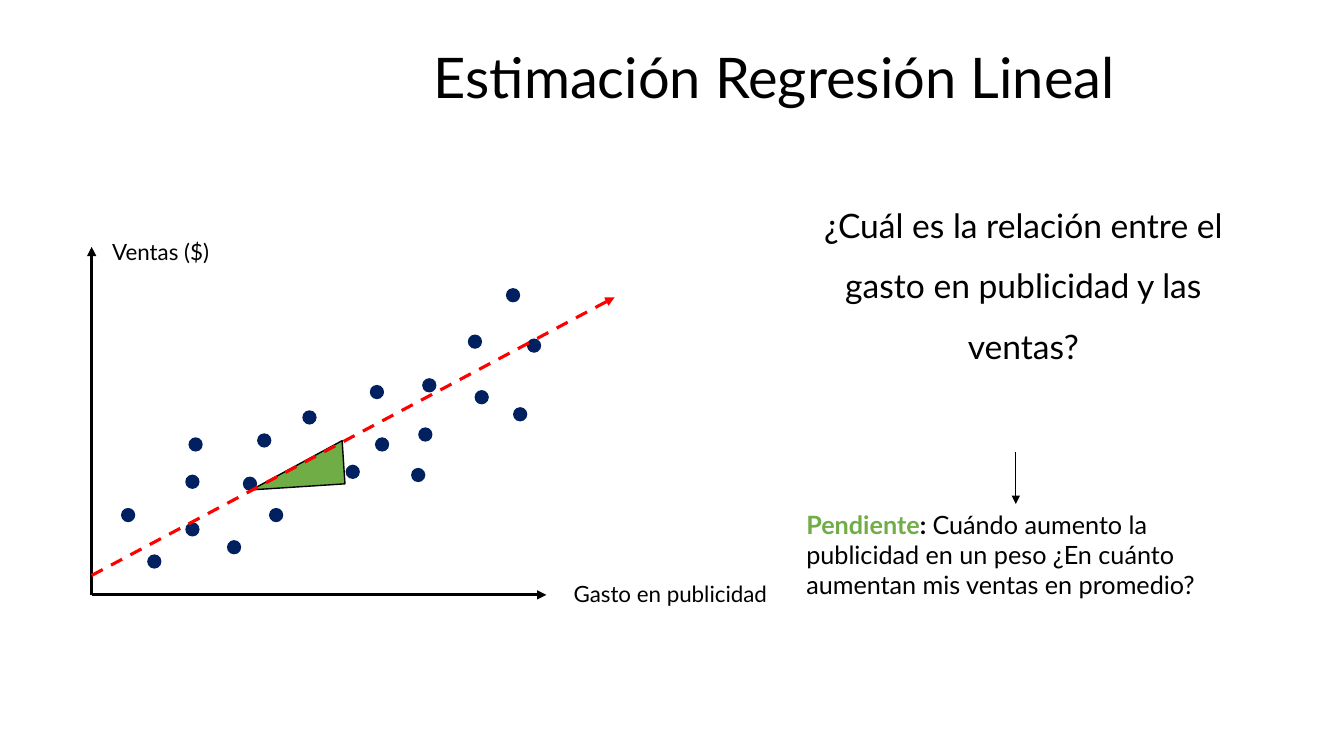
from lxml import etree
from pptx import Presentation
from pptx.dml.color import RGBColor
from pptx.enum.dml import MSO_LINE
from pptx.enum.shapes import MSO_CONNECTOR, MSO_SHAPE
from pptx.enum.text import MSO_AUTO_SIZE, PP_ALIGN
from pptx.oxml.ns import qn
from pptx.util import Cm, Pt

BLACK = RGBColor(0, 0, 0)
NAVY = RGBColor(0x00, 0x20, 0x60)
GREEN = RGBColor(0x70, 0xAD, 0x47)
RED = RGBColor(0xFF, 0, 0)
FONT = "Lato"

TITLE = "Estimación Regresión Lineal"
ASK = "¿Cuál es la relación entre el gasto en publicidad y las ventas?"
SLOPE = [
    ("Pendiente", GREEN, True),
    (": ", BLACK, True),
    ("Cuándo aumento la publicidad en un peso ¿En cuánto aumentan mis ventas en promedio?",
     BLACK, False),
]
LABELS = [
    ("Ventas ($)", (1.7, 5.87, 4.7, 0.94)),
    ("Gasto en publicidad", (13.34, 14.5, 7.11, 0.94)),
]
DOT = 0.36
DOTS = [
    (3.05, 12.8), (3.71, 13.97), (4.67, 13.16), (5.72, 13.61), (4.67, 11.96),
    (6.12, 12.01), (6.78, 12.8), (6.48, 10.92), (9.45, 11.02), (7.62, 10.34),
    (8.71, 11.71), (10.54, 10.77), (9.32, 9.7), (10.64, 9.53), (11.96, 9.83),
    (12.93, 10.26), (11.79, 8.43), (12.75, 7.26), (13.28, 8.53), (10.36, 11.79),
    (4.75, 11.02),
]
ORIGIN = (2.31, 14.99)
TOP = (2.31, 6.22)
RIGHT = (13.77, 14.99)
TREND = ((2.31, 14.5), (15.49, 7.49))
POINTER = ((25.6, 11.38), (25.6, 12.7))

deck = Presentation()
deck.slide_width, deck.slide_height = Cm(33.87), Cm(19.05)
slide = deck.slides.add_slide(deck.slide_layouts[6])


def write(text, box, size=16, align=PP_ALIGN.CENTER, space=None):
    frame = slide.shapes.add_textbox(*map(Cm, box)).text_frame
    frame.word_wrap = True
    frame.auto_size = MSO_AUTO_SIZE.SHAPE_TO_FIT_TEXT
    para = frame.paragraphs[0]
    para.alignment = align
    if space:
        para.line_spacing = space
    parts = [(text, BLACK, False)] if isinstance(text, str) else text
    for words, color, bold in parts:
        run = para.add_run()
        run.text = words
        font = run.font
        font.name, font.size, font.bold = FONT, Pt(size), bold
        font.color.rgb = color


def draw(kind, box, fill):
    shape = slide.shapes.add_shape(kind, *map(Cm, box))
    shape.shadow.inherit = False
    shape.fill.solid()
    shape.fill.fore_color.rgb = fill
    shape.line.fill.background()
    return shape


def arrow(start, end, color=BLACK, width=2.25, dash=None):
    link = slide.shapes.add_connector(MSO_CONNECTOR.STRAIGHT, *map(Cm, start + end))
    link.line.color.rgb = color
    link.line.width = Pt(width)
    if dash:
        link.line.dash_style = dash
    props = link._element.spPr
    etree.SubElement(props.find(qn("a:ln")), qn("a:tailEnd"), type="triangle")
    etree.SubElement(props, qn("a:effectLst"))


wedge = draw(MSO_SHAPE.RIGHT_TRIANGLE, (6.3, 11.18, 2.36, 1.09), GREEN)
wedge.rotation = 356.3
wedge._element.spPr.find(qn("a:xfrm")).set("flipH", "1")
wedge.line.color.rgb = BLACK
wedge.line.width = Pt(1)

write(TITLE, (6.3, 0.94, 26.42, 1.96), size=40)
write(ASK, (20.47, 4.52, 10.64, 4.67), size=24, space=1.5)
for tip in (TOP, RIGHT):
    arrow(ORIGIN, tip)
for left, top in DOTS:
    draw(MSO_SHAPE.OVAL, (left, top, DOT, DOT), NAVY)
for text, box in LABELS:
    write(text, box)
arrow(*TREND, color=RED, dash=MSO_LINE.DASH)
arrow(*POINTER, width=0.5)
write(SLOPE, (20.07, 12.7, 10.8, 2.57), size=18, align=PP_ALIGN.LEFT)

deck.save("out.pptx")
